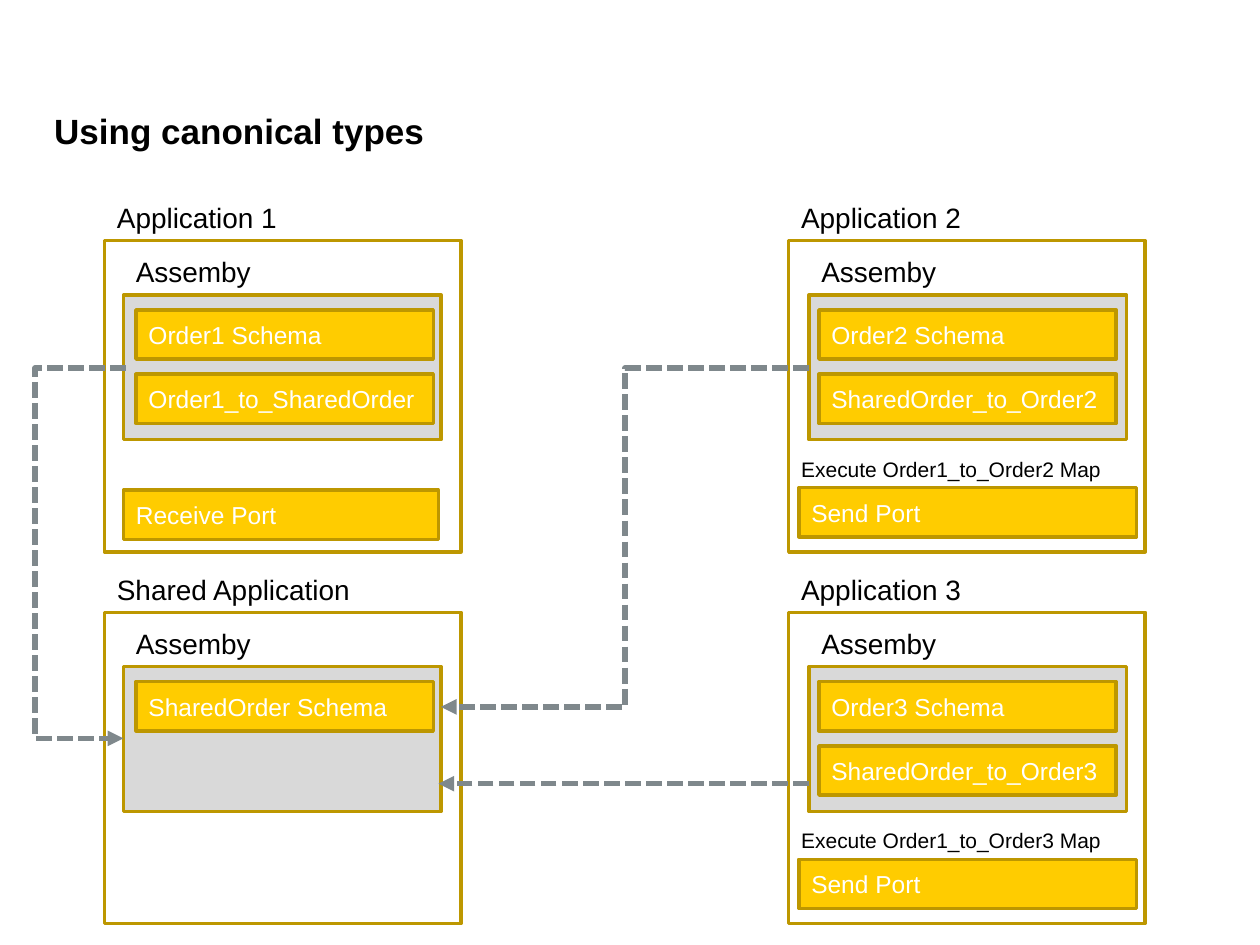
from dataclasses import dataclass
from typing import Optional

from lxml.etree import SubElement
from pptx import Presentation
from pptx.dml.color import RGBColor
from pptx.enum.dml import MSO_LINE
from pptx.enum.shapes import MSO_CONNECTOR, MSO_SHAPE
from pptx.enum.text import MSO_ANCHOR, MSO_AUTO_SIZE, PP_ALIGN
from pptx.oxml.ns import qn
from pptx.util import Inches, Pt


@dataclass(frozen=True)
class Theme:
    """Colours, font and type sizes of the slide."""
    font: str = "Arial"
    ink: str = "000000"
    white: str = "FFFFFF"
    gold: str = "FFCC00"
    border: str = "BD9700"
    tray: str = "D9D9D9"
    link: str = "7F888C"
    title: int = 20
    label: int = 16
    bar: int = 14
    note: int = 12
    border_width: int = 2
    link_width: int = 3


@dataclass(frozen=True)
class Port:
    """A port bar, placed relative to its application."""
    name: str
    dx: float
    dy: float
    width: float
    note: str = ""


@dataclass(frozen=True)
class Application:
    """An application frame with its assembly and optional port."""
    name: str
    left: float
    top: float
    label_width: float
    assembly_dx: float
    artifact_dx: float
    artifacts: tuple[str, ...]
    port: Optional[Port] = None


@dataclass(frozen=True)
class Link:
    """A dashed arrow; bend_x is where an elbow turns."""
    start: tuple[float, float]
    end: tuple[float, float]
    bend_x: Optional[float] = None


THEME = Theme()
LEFT_X, RIGHT_X = 0.83, 6.26
UPPER_Y, LOWER_Y = 1.91, 4.86
FRAME_SIZE = (2.83, 2.47)
ASSEMBLY_SIZE = (2.52, 1.15)
ARTIFACT_WIDTH, BAR_HEIGHT = 2.36, 0.39
ASSEMBLY_DY, ARTIFACT_DY, ARTIFACT_STEP = 0.43, 0.55, 0.51
LABEL_HEIGHT, NOTE_HEIGHT = 0.37, 0.3


def send_port(order: int) -> Port:
    """Describe the send port that runs the map to the given order."""
    return Port("Send Port", 0.08, 1.96, 2.68, f"Execute Order1_to_Order{order} Map")


APPLICATIONS = (
    Application("Application 1", LEFT_X, UPPER_Y, 1.48, 0.15, 0.25,
                ("Order1 Schema", "Order1_to_SharedOrder"),
                Port("Receive Port", 0.15, 1.98, 2.5)),
    Application("Application 2", RIGHT_X, UPPER_Y, 1.48, 0.16, 0.24,
                ("Order2 Schema", "SharedOrder_to_Order2"), send_port(2)),
    Application("Application 3", RIGHT_X, LOWER_Y, 1.48, 0.16, 0.24,
                ("Order3 Schema", "SharedOrder_to_Order3"), send_port(3)),
    Application("Shared Application", LEFT_X, LOWER_Y, 2.07, 0.15, 0.25,
                ("SharedOrder Schema",)),
)
LINKS = (
    Link((1.0, 2.92), (0.98, 5.86), 0.28),
    Link((6.42, 2.92), (3.5, 5.61), 4.96),
    Link((6.42, 6.22), (3.48, 6.22)),
)


def write(frame, text: str, size: int, color: str, bold: bool = False) -> None:
    """Put one left-aligned, vertically centred paragraph in a text frame."""
    frame.text = text
    frame.vertical_anchor = MSO_ANCHOR.MIDDLE
    paragraph = frame.paragraphs[0]
    paragraph.alignment = PP_ALIGN.LEFT
    font = paragraph.font
    font.name, font.size, font.bold = THEME.font, Pt(size), bold
    font.color.rgb = RGBColor.from_string(color)


def add_title(slide, text: str) -> None:
    """Move and format the title placeholder."""
    title = slide.shapes.title
    title.left, title.top = Inches(0.43), Inches(0.84)
    title.width, title.height = Inches(9.14), Inches(0.39)
    frame = title.text_frame
    frame.auto_size = MSO_AUTO_SIZE.NONE
    frame.margin_left = frame.margin_right = frame.margin_top = frame.margin_bottom = 0
    write(frame, text, THEME.title, THEME.ink, bold=True)


def add_label(slide, text: str, left: float, top: float, width: float,
              height: float = LABEL_HEIGHT, size: int = THEME.label,
              wrap: bool = False) -> None:
    """Draw a plain text label."""
    label = slide.shapes.add_textbox(Inches(left), Inches(top), Inches(width), Inches(height))
    write(label.text_frame, text, size, THEME.ink)
    label.text_frame.word_wrap = wrap


def add_box(slide, left: float, top: float, width: float, height: float,
            fill: Optional[str] = None, text: str = "") -> None:
    """Draw a bordered rectangle, hollow unless a fill is given."""
    box = slide.shapes.add_shape(MSO_SHAPE.RECTANGLE, Inches(left), Inches(top),
                                 Inches(width), Inches(height))
    box.shadow.inherit = False
    box.line.color.rgb = RGBColor.from_string(THEME.border)
    box.line.width = Pt(THEME.border_width)
    if fill:
        box.fill.solid()
        box.fill.fore_color.rgb = RGBColor.from_string(fill)
    else:
        box.fill.background()
    if text:
        write(box.text_frame, text, THEME.bar, THEME.white)


def add_application(slide, app: Application) -> None:
    """Draw an application with its assembly, artifacts and port."""
    assembly_left = app.left + app.assembly_dx
    assembly_top = app.top + ASSEMBLY_DY
    add_box(slide, assembly_left, assembly_top, *ASSEMBLY_SIZE, fill=THEME.tray)
    add_box(slide, app.left, app.top, *FRAME_SIZE)
    add_label(slide, app.name, app.left, app.top - LABEL_HEIGHT, app.label_width)
    add_label(slide, "Assemby", assembly_left, assembly_top - LABEL_HEIGHT, 1.12)
    for row, artifact in enumerate(app.artifacts):
        add_box(slide, app.left + app.artifact_dx,
                app.top + ARTIFACT_DY + row * ARTIFACT_STEP,
                ARTIFACT_WIDTH, BAR_HEIGHT, THEME.gold, artifact)
    if app.port:
        port_top = app.top + app.port.dy
        add_box(slide, app.left + app.port.dx, port_top, app.port.width,
                BAR_HEIGHT, THEME.gold, app.port.name)
        if app.port.note:
            add_label(slide, app.port.note, app.left, port_top - NOTE_HEIGHT,
                      2.59, NOTE_HEIGHT, THEME.note, wrap=True)


def add_link(slide, link: Link) -> None:
    """Draw a dashed arrow, straight or with two bends."""
    kind = MSO_CONNECTOR.STRAIGHT if link.bend_x is None else MSO_CONNECTOR.ELBOW
    arrow = slide.shapes.add_connector(kind, *map(Inches, link.start + link.end))
    arrow.line.color.rgb = RGBColor.from_string(THEME.link)
    arrow.line.width = Pt(THEME.link_width)
    arrow.line.dash_style = MSO_LINE.SQUARE_DOT
    properties = arrow._element.spPr
    SubElement(properties.find(qn("a:ln")), qn("a:tailEnd"), type="triangle")
    SubElement(properties, qn("a:effectLst"))
    if link.bend_x is not None:
        ratio = (link.bend_x - link.start[0]) / (link.end[0] - link.start[0])
        guides = properties.find(qn("a:prstGeom")).get_or_add_avLst()
        SubElement(guides, qn("a:gd"), name="adj1", fmla=f"val {round(ratio * 100000)}")


def build() -> None:
    """Build and save the slide."""
    deck = Presentation()
    deck.slide_width, deck.slide_height = Inches(10), Inches(7.5)
    slide = deck.slides.add_slide(deck.slide_layouts[5])
    add_title(slide, "Using canonical types")
    for app in APPLICATIONS:
        add_application(slide, app)
    for link in LINKS:
        add_link(slide, link)
    deck.save("out.pptx")


build()
